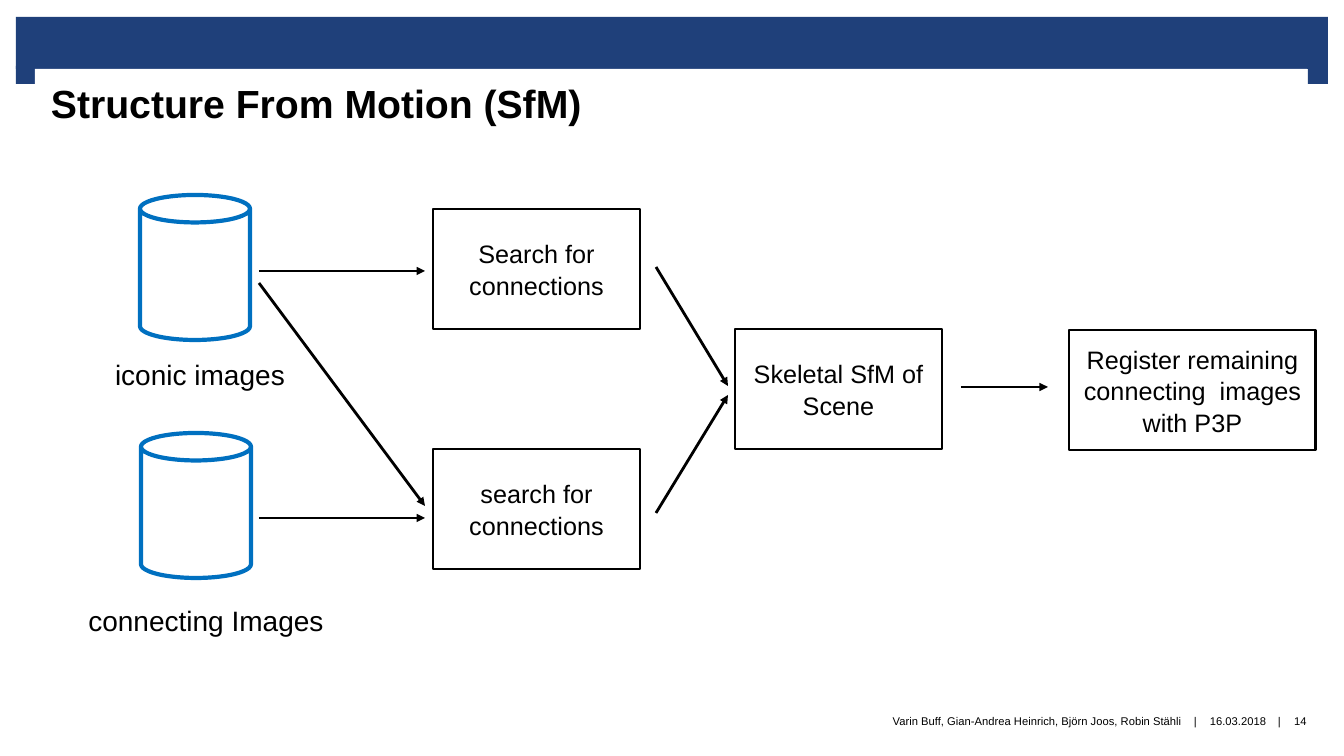
from lxml.etree import SubElement
from pptx import Presentation
from pptx.dml.color import RGBColor
from pptx.enum.shapes import MSO_CONNECTOR, MSO_SHAPE
from pptx.enum.text import MSO_ANCHOR, PP_ALIGN
from pptx.oxml.ns import qn
from pptx.util import Emu, Pt

# Content: lengths in px, boxes as (left, top, width, height)
COLORS = {"banner": "1F407A", "can": "0070C0", "ink": "000000", "paper": "FFFFFF"}
FONT = "Arial"
SLIDE = (1344, 756)
TITLE = ("Structure From Motion (SfM)", (35, 69, 1272, 107))
BANNER = [(16, 17, 1312, 52), (16, 66, 20, 18), (1308, 66, 20, 18)]
STEP_W, STEP_H = 207, 120
STEPS = [
    ("Search for connections", 433, 209, STEP_W),
    ("search for connections", 433, 449, STEP_W),
    ("Skeletal SfM of Scene", 735, 329, STEP_W),
    ("Register remaining connecting  images with P3P", 1069, 330, 247),
]
CAN_SIZE = (110, 145)
CANS = [(140, 195), (141, 433)]
LABELS = [
    ("iconic images", (85, 356, 215, 46)),
    ("connecting Images", (52, 602, 293, 46)),
]
ARROWS = [
    (259, 271, 425, 271),
    (259, 518, 425, 518),
    (259, 283, 425, 506),
    (656, 267, 728, 386),
    (656, 513, 728, 395),
    (961, 387, 1048, 387),
]
FOOTER_TOP, FOOTER_H = 695, 51
FOOTER = [
    ("Varin Buff, Gian-Andrea Heinrich, Björn Joos, Robin Stähli", 671, 511, "right"),
    ("|", 1188, 15, "center"),
    ("16.03.2018", 1204, 68, "center"),
    ("|", 1272, 15, "center"),
    ("14", 1281, 39, "center"),
]

# Formats: insets in px as (left, top, right, bottom)
ALIGN = {"left": PP_ALIGN.LEFT, "center": PP_ALIGN.CENTER, "right": PP_ALIGN.RIGHT}
TITLE_STYLE = dict(size=28, bold=True, insets=(16, 6, 16, 0), spacing=1.1)
STEP_STYLE = dict(size=18, align="center", anchor=MSO_ANCHOR.MIDDLE,
                  insets=(10, 5, 10, 5), spacing=1.05)
LABEL_STYLE = dict(size=20, align="center", insets=(15, 0, 0, 0), spacing=1.05)
FOOTER_STYLE = dict(size=8, anchor=MSO_ANCHOR.MIDDLE, wrap=False)


def px(n):
    return Emu(round(n * 914400 / 100.8))


def color(name):
    return RGBColor.from_string(COLORS[name])


def write(sp, text, size, bold=False, align="left", anchor=MSO_ANCHOR.TOP,
          insets=(0, 0, 0, 0), spacing=1.0, wrap=True):
    tf = sp.text_frame
    left, top, right, bottom = map(px, insets)
    frame = dict(word_wrap=wrap, vertical_anchor=anchor, margin_left=left,
                 margin_top=top, margin_right=right, margin_bottom=bottom)
    for name, value in frame.items():
        setattr(tf, name, value)
    p = tf.paragraphs[0]
    p.alignment, p.line_spacing = ALIGN[align], spacing
    r = p.add_run()
    r.text = text
    for name, value in dict(name=FONT, size=Pt(size), bold=bold).items():
        setattr(r.font, name, value)
    r.font.color.rgb = color("ink")


def add_shape(s, kind, box, fill=None, line=None, weight=2):
    sp = s.shapes.add_shape(kind, *map(px, box))
    sp.shadow.inherit = False
    if fill:
        sp.fill.solid()
        sp.fill.fore_color.rgb = color(fill)
    else:
        sp.fill.background()
    if line:
        sp.line.color.rgb = color(line)
        sp.line.width = Pt(weight)
    else:
        sp.line.fill.background()
    return sp


def add_text(s, text, box, **style):
    write(s.shapes.add_textbox(*map(px, box)), text, **style)


def add_arrow(s, ends):
    c = s.shapes.add_connector(MSO_CONNECTOR.STRAIGHT, *map(px, ends))
    c.line.color.rgb = color("ink")
    c.line.width = Pt(2)
    SubElement(c.line._get_or_add_ln(), qn("a:tailEnd"), type="triangle")
    SubElement(c._element.spPr, qn("a:effectLst"))


def main():
    prs = Presentation()
    prs.slide_width, prs.slide_height = map(px, SLIDE)
    s = prs.slides.add_slide(prs.slide_layouts[6])

    # Banner and title
    for box in BANNER:
        add_shape(s, MSO_SHAPE.RECTANGLE, box, fill="banner")
    text, box = TITLE
    write(add_shape(s, MSO_SHAPE.RECTANGLE, box, fill="paper"), text, **TITLE_STYLE)

    # Footer
    for text, left, width, align in FOOTER:
        add_text(s, text, (left, FOOTER_TOP, width, FOOTER_H), align=align, **FOOTER_STYLE)

    # Image stores
    for corner in CANS:
        add_shape(s, MSO_SHAPE.CAN, corner + CAN_SIZE, line="can", weight=3)
    for text, box in LABELS:
        add_text(s, text, box, **LABEL_STYLE)

    # Processing steps and flow
    for text, left, top, width in STEPS:
        sp = add_shape(s, MSO_SHAPE.RECTANGLE, (left, top, width, STEP_H),
                       fill="paper", line="ink")
        write(sp, text, **STEP_STYLE)
    for ends in ARROWS:
        add_arrow(s, ends)

    prs.save("out.pptx")


if __name__ == "__main__":
    main()
